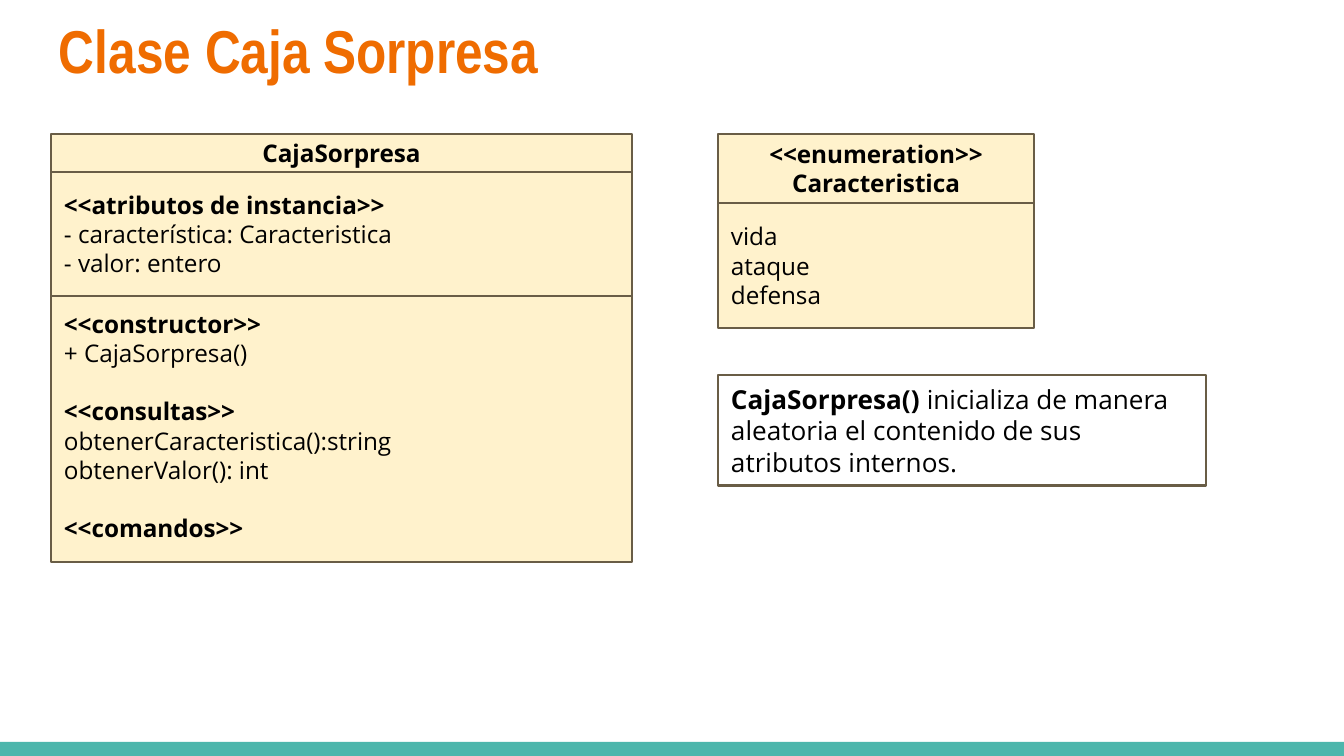
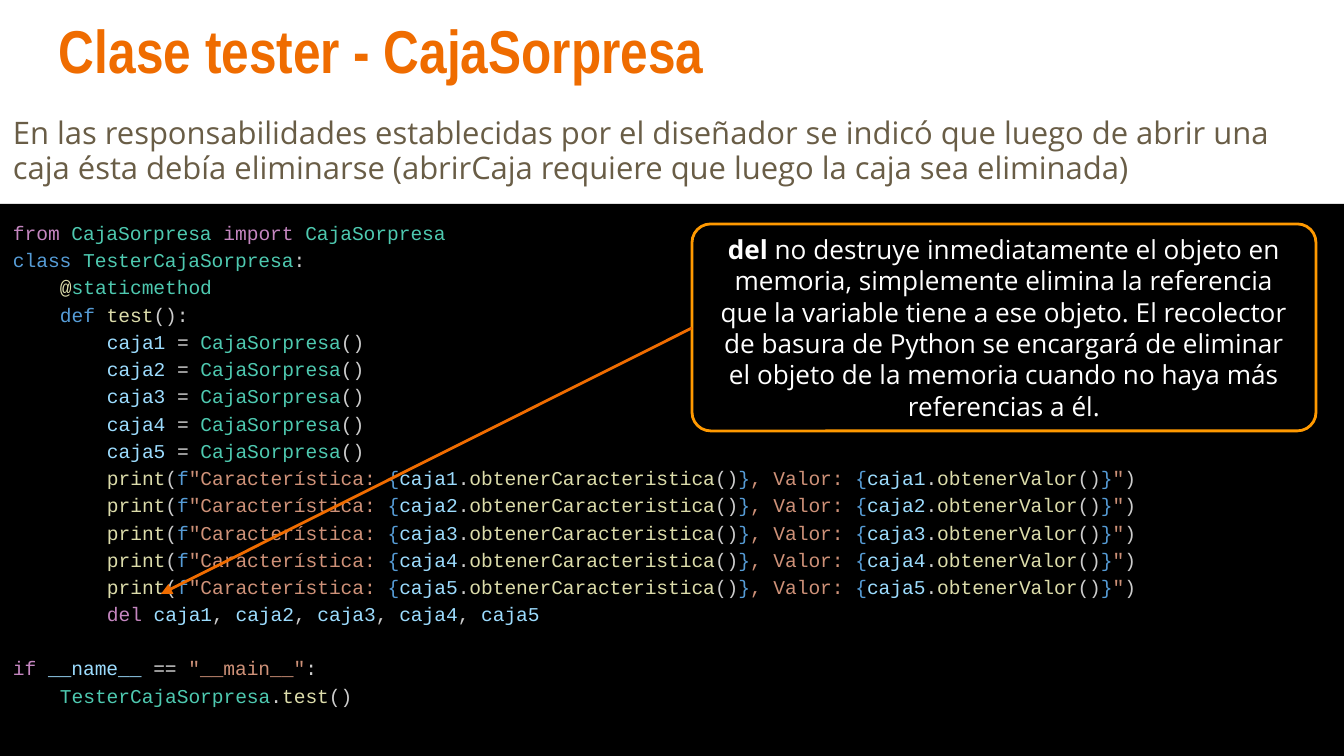
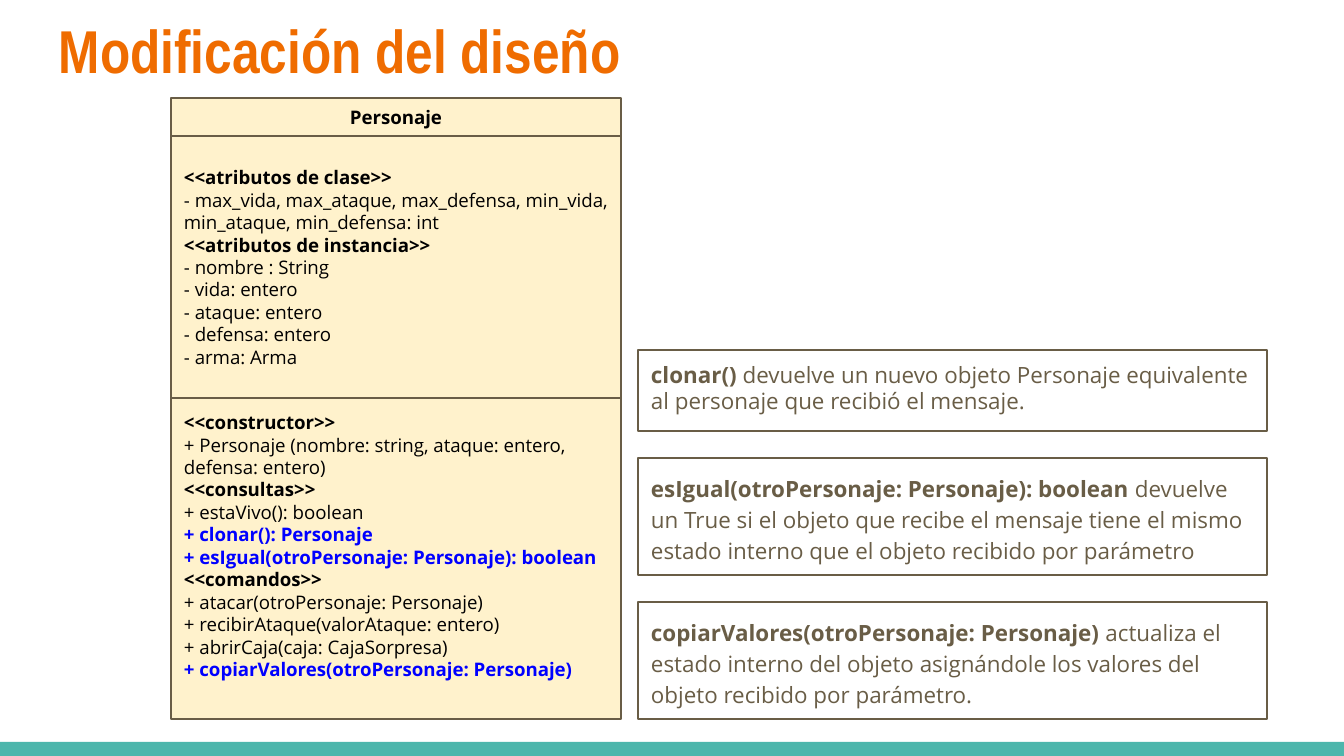
from lxml.etree import SubElement
from pptx import Presentation
from pptx.dml.color import RGBColor
from pptx.enum.shapes import MSO_CONNECTOR, MSO_SHAPE
from pptx.enum.text import MSO_ANCHOR as ANCHOR, PP_ALIGN as ALIGN
from pptx.oxml.ns import qn
from pptx.util import Pt

WIDTH, HEIGHT = 1344, 756
EMU_PER_PX = 9144000 / WIDTH
INSET = 13
INDENT = 47

WHITE = RGBColor(0xFF, 0xFF, 0xFF)
BLACK = RGBColor(0x00, 0x00, 0x00)
BLUE = RGBColor(0x00, 0x00, 0xFF)
ORANGE = RGBColor(0xEF, 0x6C, 0x00)
AMBER = RGBColor(0xFF, 0x99, 0x00)
TEAL = RGBColor(0x4D, 0xB6, 0xAC)
BROWN = RGBColor(0x69, 0x5D, 0x46)
CREAM = RGBColor(0xFF, 0xF2, 0xCC)

FLOW = RGBColor(0xC5, 0x86, 0xC0)
TYPE = RGBColor(0x4E, 0xC9, 0xB0)
KEYWORD = RGBColor(0x56, 0x9C, 0xD6)
CALL = RGBColor(0xDC, 0xDC, 0xAA)
PUNCT = RGBColor(0xCC, 0xCC, 0xCC)
OPERATOR = RGBColor(0xD4, 0xD4, 0xD4)
VARIABLE = RGBColor(0x9C, 0xDC, 0xFE)
STRING = RGBColor(0xCE, 0x91, 0x78)

TITLE_FONT, BODY_FONT, CODE_FONT = "Arial Narrow", "Open Sans", "Courier New"
NEW_METHODS = {
    "+ clonar(): Personaje",
    "+ esIgual(otroPersonaje: Personaje): boolean",
    "+ copiarValores(otroPersonaje: Personaje)",
}


def px(value):
    return round(value * EMU_PER_PX)


def add_box(s, left, top, width, height, fill=None, line=None, weight=0.75,
            kind=MSO_SHAPE.RECTANGLE):
    sp = s.shapes.add_shape(kind, px(left), px(top), px(width), px(height))
    sp.shadow.inherit = False
    if fill is None:
        sp.fill.background()
    else:
        sp.fill.solid()
        sp.fill.fore_color.rgb = fill
    if line is None:
        sp.line.fill.background()
    else:
        sp.line.color.rgb = line
        sp.line.width = Pt(weight)
    return sp


def set_frame(sp, anchor=ANCHOR.TOP):
    tf = sp.text_frame
    tf.word_wrap = True
    tf.vertical_anchor = anchor
    tf.margin_left = tf.margin_right = px(INSET)
    tf.margin_top = tf.margin_bottom = px(INSET)
    return tf


def add_text(tf, runs, size, font=BODY_FONT, color=BLACK, bold=False,
             align=ALIGN.LEFT, spacing=None, before=0, after=0, indent=0):
    p = tf.paragraphs[0]
    if p.runs:
        p = tf.add_paragraph()
    p.alignment = align
    p.space_before, p.space_after = Pt(before), Pt(after)
    if spacing:
        p.line_spacing = spacing
    if indent:
        p._p.get_or_add_pPr().set("marL", str(px(indent)))
    if isinstance(runs, str):
        runs = [(runs, {})]
    for text, own in runs:
        r = p.add_run()
        r.text = text
        r.font.name = font
        r.font.size = Pt(size)
        r.font.bold = own.get("bold", bold)
        r.font.color.rgb = own.get("color", color)


def add_text_box(s, left, top, width, height):
    return set_frame(s.shapes.add_textbox(px(left), px(top), px(width), px(height)))


def add_slide(prs, title):
    s = prs.slides.add_slide(prs.slide_layouts[6])
    s.background.fill.solid()
    s.background.fill.fore_color.rgb = WHITE
    add_box(s, 0, 742, WIDTH, 14, fill=TEAL)
    tf = add_text_box(s, 46, 0, 1253, 103)
    add_text(tf, title, 32.4, font=TITLE_FONT, color=ORANGE, bold=True)
    return s


def add_class(s, left, top, width, size, name, sections, name_height=38, gap=0):
    tf = set_frame(add_box(s, left, top, width, name_height, CREAM, BROWN), ANCHOR.MIDDLE)
    for text in name:
        add_text(tf, text, size, bold=True, align=ALIGN.CENTER)
    top += name_height
    for height, anchor, lines in sections:
        tf = set_frame(add_box(s, left, top, width, height, CREAM, BROWN), anchor)
        for i, text in enumerate(lines):
            heading = text.startswith("<<")
            new = text in NEW_METHODS
            add_text(tf, text, size, bold=heading or new, color=BLUE if new else BLACK,
                     before=gap if heading and i else 0)
        top += height


def add_note(s, left, top, width, height, term, text, size, anchor=ANCHOR.TOP,
             line=BROWN, weight=0.75, kind=MSO_SHAPE.RECTANGLE, **fmt):
    sp = add_box(s, left, top, width, height, line=line, weight=weight, kind=kind)
    add_text(set_frame(sp, anchor), [(term, {"bold": True}), (text, {})], size, **fmt)
    return sp


def add_arrow(s, x1, y1, x2, y2, color):
    c = s.shapes.add_connector(MSO_CONNECTOR.STRAIGHT, px(x1), px(y1), px(x2), px(y2))
    c.line.color.rgb = color
    c.line.width = Pt(1.5)
    SubElement(c.line._get_or_add_ln(), qn("a:tailEnd"), type="triangle")
    SubElement(c._element.spPr, qn("a:effectLst"))


def add_code(s, left, top, width, height, lines):
    tf = set_frame(add_box(s, left, top, width, height, fill=BLACK))
    for level, before, tokens in lines:
        runs = [(text, {"color": color}) for text, color in tokens]
        add_text(tf, runs, 10.5, font=CODE_FONT, spacing=1.16, before=before,
                 indent=level * INDENT)


def creation(box):
    return [(box + " ", VARIABLE), ("= ", OPERATOR), ("CajaSorpresa", TYPE), ("()", PUNCT)]


def query(box, method):
    return [("{", KEYWORD), (box, VARIABLE), (".", PUNCT), (method, CALL),
            ("()", PUNCT), ("}", KEYWORD)]


def printing(box):
    return [("print", CALL), ("(", PUNCT), ("f", KEYWORD), ('"Característica: ', STRING),
            *query(box, "obtenerCaracteristica"), (", Valor: ", STRING),
            *query(box, "obtenerValor"), ('"', STRING), (")", PUNCT)]


def deletion(boxes):
    tokens = [("del ", FLOW)]
    for i, box in enumerate(boxes):
        if i:
            tokens.append((", ", PUNCT))
        tokens.append((box, VARIABLE))
    return tokens


def tester_code():
    boxes = [f"caja{n}" for n in range(1, 6)]
    return [
        (0, 0, [("from ", FLOW), ("CajaSorpresa ", TYPE), ("import ", FLOW),
                ("CajaSorpresa", TYPE)]),
        (0, 0, [("class ", KEYWORD), ("TesterCajaSorpresa", TYPE), (":", PUNCT)]),
        (1, 0, [("@", CALL), ("staticmethod", TYPE)]),
        (1, 0, [("def ", KEYWORD), ("test", CALL), ("():", PUNCT)]),
        *[(2, 0, creation(box)) for box in boxes],
        *[(2, 0, printing(box)) for box in boxes],
        (2, 0, deletion(boxes)),
        (0, 14.4, [("if ", FLOW), ("__name__ ", VARIABLE), ("== ", OPERATOR),
                   ('"__main__"', STRING), (":", PUNCT)]),
        (1, 0, [("TesterCajaSorpresa", TYPE), (".", PUNCT), ("test", CALL), ("()", PUNCT)]),
    ]


def surprise_box_slide(prs):
    s = add_slide(prs, "Clase Caja Sorpresa")
    add_class(s, 51, 134, 581, 13, ["CajaSorpresa"], [
        (124, ANCHOR.MIDDLE, ["<<atributos de instancia>>",
                              "- característica: Caracteristica",
                              "- valor: entero"]),
        (266, ANCHOR.TOP, ["<<constructor>>", "+ CajaSorpresa()",
                           "<<consultas>>", "obtenerCaracteristica():string",
                           "obtenerValor(): int", "<<comandos>>"]),
    ], gap=15.7)
    add_class(s, 718, 134, 316, 13, ["<<enumeration>>", "Caracteristica"],
              [(125, ANCHOR.MIDDLE, ["vida", "ataque", "defensa"])], name_height=69)
    add_note(s, 718, 375, 488, 111, "CajaSorpresa() ",
             "inicializa de manera aleatoria el contenido de sus atributos internos.",
             14, anchor=ANCHOR.MIDDLE, weight=1.5)


def tester_slide(prs):
    s = add_slide(prs, "Clase tester - CajaSorpresa")
    tf = add_text_box(s, 0, 103, WIDTH, 99)
    add_text(tf, "En las responsabilidades establecidas por el diseñador se indicó que luego "
             "de abrir una caja ésta debía eliminarse (abrirCaja requiere que luego la caja "
             "sea eliminada)", 16.6, color=BROWN, spacing=0.95, after=12)
    add_code(s, 0, 204, WIDTH, 552, tester_code())
    callout = add_note(
        s, 692, 224, 624, 207, "del ",
        "no destruye inmediatamente el objeto en memoria, simplemente elimina la referencia "
        "que la variable tiene a ese objeto. El recolector de basura de Python se encargará "
        "de eliminar el objeto de la memoria cuando no haya más referencias a él.",
        14, anchor=ANCHOR.MIDDLE, line=AMBER, weight=1.5,
        kind=MSO_SHAPE.ROUNDED_RECTANGLE, color=WHITE, align=ALIGN.CENTER)
    callout.adjustments[0] = 0.09
    add_arrow(s, 692, 328, 161, 594, ORANGE)


def redesign_slide(prs):
    s = add_slide(prs, "Modificación del diseño")
    add_class(s, 171, 98, 450, 10, ["Personaje"], [
        (262, ANCHOR.MIDDLE, ["<<atributos de clase>>",
                              "- max_vida, max_ataque, max_defensa, min_vida, "
                              "min_ataque, min_defensa: int",
                              "<<atributos de instancia>>", "- nombre : String",
                              "- vida: entero", "- ataque: entero",
                              "- defensa: entero", "- arma: Arma"]),
        (321, ANCHOR.TOP, ["<<constructor>>",
                           "+ Personaje (nombre: string, ataque: entero, defensa: entero)",
                           "<<consultas>>", "+ estaVivo(): boolean",
                           "+ clonar(): Personaje",
                           "+ esIgual(otroPersonaje: Personaje): boolean",
                           "<<comandos>>", "+ atacar(otroPersonaje: Personaje)",
                           "+ recibirAtaque(valorAtaque: entero)",
                           "+ abrirCaja(caja: CajaSorpresa)",
                           "+ copiarValores(otroPersonaje: Personaje)"]),
    ])
    notes = [
        (81, 0.95, "clonar()", " devuelve un nuevo objeto Personaje equivalente al personaje "
         "que recibió el mensaje."),
        (117, 1.15, "esIgual(otroPersonaje: Personaje): boolean ",
         "devuelve un True si el objeto que recibe el mensaje tiene el mismo estado interno "
         "que el objeto recibido por parámetro"),
        (117, 1.15, "copiarValores(otroPersonaje: Personaje)",
         " actualiza el estado interno del objeto asignándole los valores del objeto "
         "recibido por parámetro."),
    ]
    top, gap = 350, 27
    for height, spacing, term, text in notes:
        add_note(s, 638, top, 629, height, term, text, 12, color=BROWN,
                 spacing=spacing, after=12)
        top += height + gap


def main():
    prs = Presentation()
    prs.slide_width, prs.slide_height = px(WIDTH), px(HEIGHT)
    surprise_box_slide(prs)
    tester_slide(prs)
    redesign_slide(prs)
    prs.save("out.pptx")


if __name__ == "__main__":
    main()
